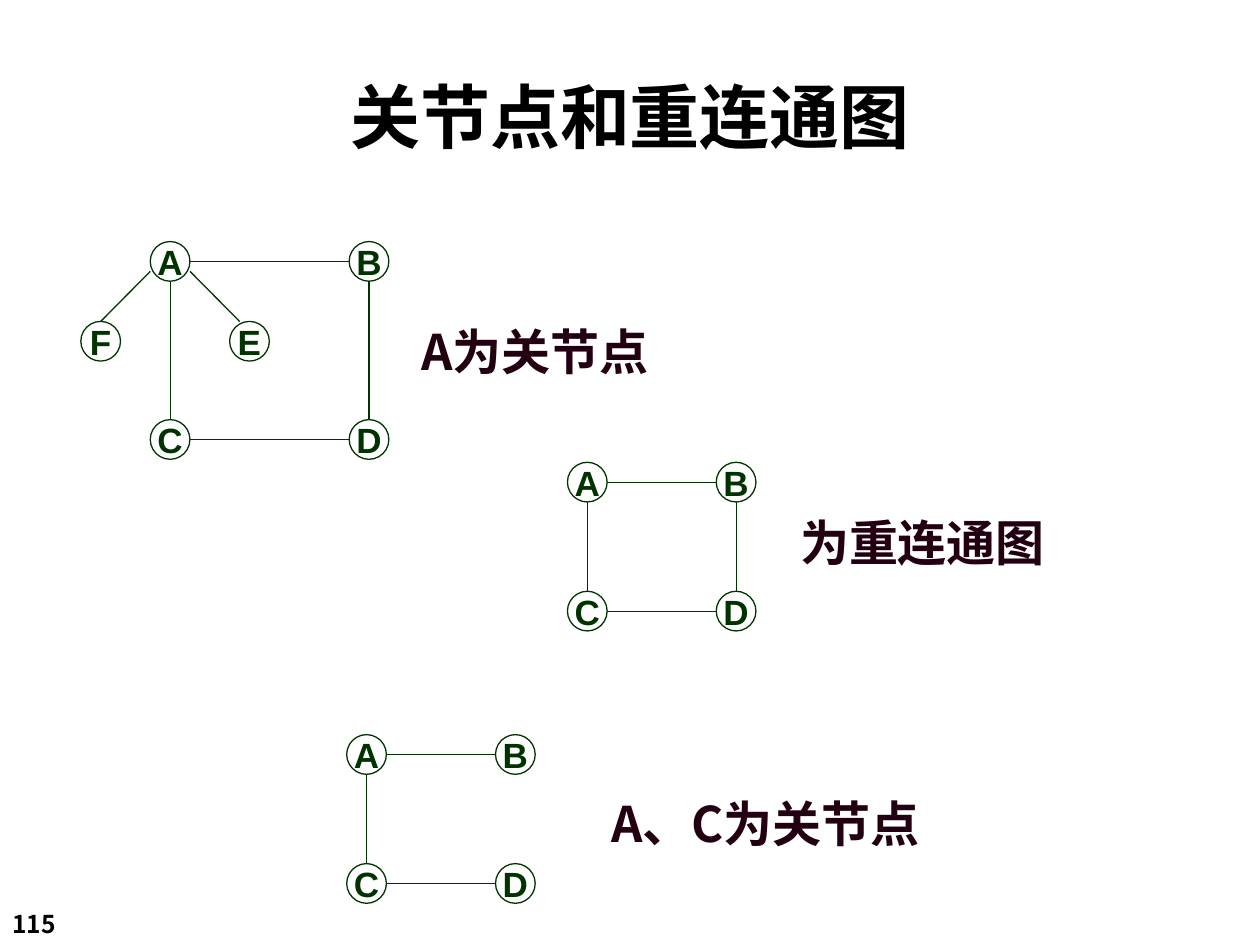
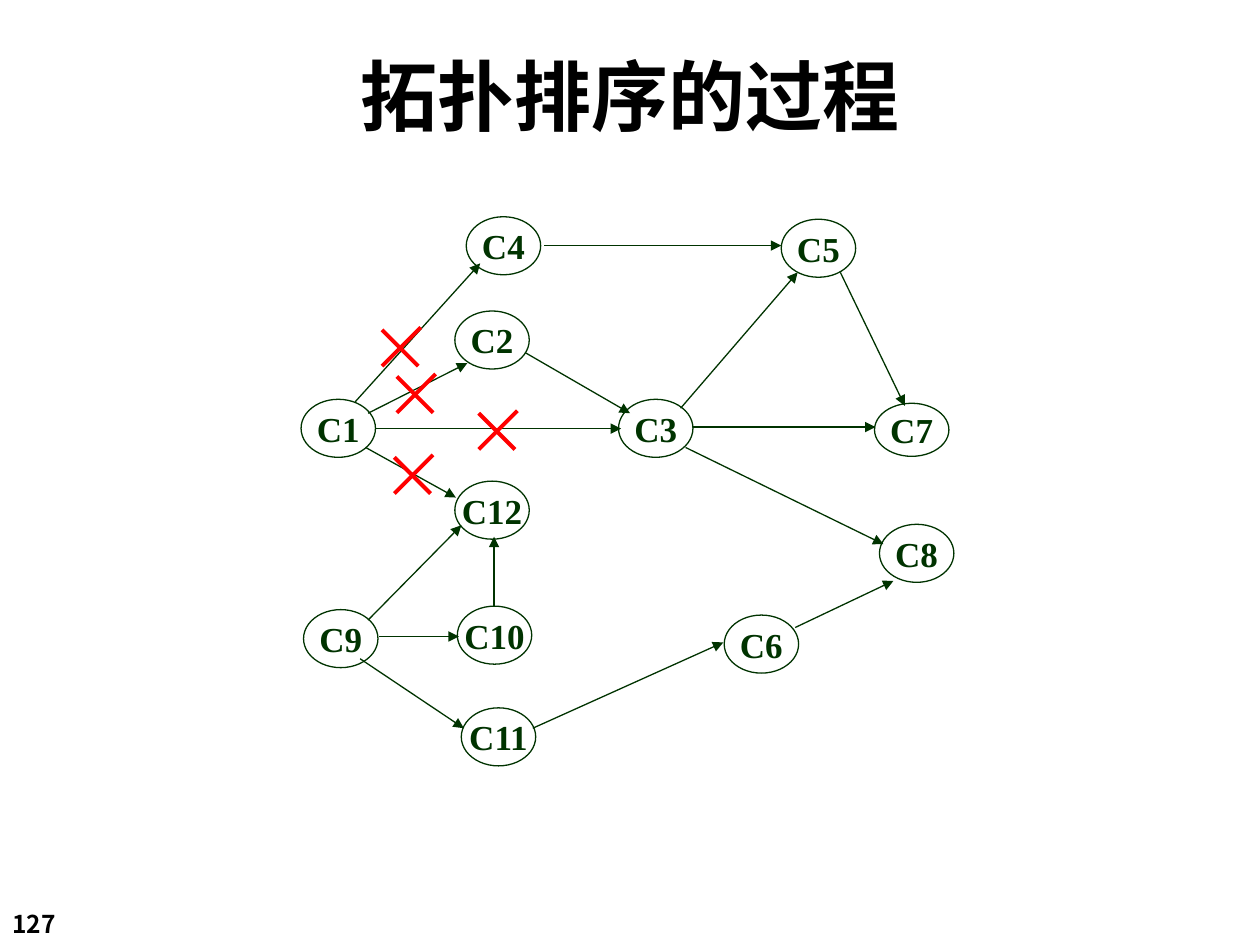
"""Builds two slides on graph theory: articulation points and topological sorting."""
import pptx
import pptx.util
import pptx.dml.color
import pptx.enum.shapes
import pptx.enum.text
import pptx.oxml.ns
from lxml import etree

Cm = pptx.util.Cm
Pt = pptx.util.Pt
RGBColor = pptx.dml.color.RGBColor
Align = pptx.enum.text.PP_ALIGN
Anchor = pptx.enum.text.MSO_ANCHOR
Shape = pptx.enum.shapes.MSO_SHAPE
qn = pptx.oxml.ns.qn

BLACK = RGBColor(0x00, 0x00, 0x00)
GREEN = RGBColor(0x00, 0x33, 0x00)
PLUM = RGBColor(0x22, 0x00, 0x11)
RED = RGBColor(0xFF, 0x00, 0x00)
CJK_FONT = "Noto Sans CJK SC"

NODE_SIZE = 0.8
RADIUS = NODE_SIZE / 2
COURSE_WIDTH, COURSE_HEIGHT = 1.5, 1.17
CROSS_SIZE = 0.73

COURSES = {
    "C1": (6.07, 8.05), "C2": (9.17, 6.27), "C3": (12.47, 8.05),
    "C4": (9.4, 4.37), "C5": (15.75, 4.42), "C6": (14.6, 12.4),
    "C7": (17.63, 8.13), "C8": (17.73, 10.57), "C9": (6.12, 12.29),
    "C10": (9.22, 12.22), "C11": (9.3, 14.27), "C12": (9.17, 9.7),
}
COURSE_HEIGHTS = {"C7": 1.07}
PREREQUISITES = [
    ((7.57, 8.64), (12.52, 8.64)), ((7.42, 8.33), (9.42, 7.32)),
    ((10.59, 7.11), (12.7, 8.33)), ((7.16, 8.1), (9.68, 5.31)),
    ((10.97, 4.95), (15.75, 4.95)), ((13.72, 8.23), (16.08, 5.49)),
    ((13.97, 8.61), (17.65, 8.61)), ((16.94, 5.49), (18.24, 8.18)),
    ((7.37, 9.02), (9.19, 10.03)), ((7.42, 12.5), (9.3, 10.59)),
    ((7.65, 12.83), (9.25, 12.83)), ((9.96, 12.22), (9.96, 10.82)),
    ((7.26, 13.28), (9.35, 14.68)), ((10.74, 14.68), (14.58, 12.95)),
    ((16.03, 12.65), (18.01, 11.71)), ((13.82, 9.02), (17.81, 10.97)),
]
REMOVED_EDGES = [(7.7, 6.65), (8, 7.59), (9.65, 8.33), (7.95, 9.22)]


def style_text(frame, size, color, font_name=CJK_FONT, align=Align.LEFT):
    """Formats every run of a text frame in bold."""
    for para in frame.paragraphs:
        para.alignment = align
        for span in para.runs:
            span.font.size = Pt(size)
            span.font.bold = True
            span.font.color.rgb = color
            span.font.name = font_name
            east_asian = etree.SubElement(span.font._element, qn("a:ea"))
            east_asian.set("typeface", CJK_FONT)


def add_label(page, text, left, top, width, height, size=28, color=PLUM):
    """Adds a wrapped text box."""
    box = page.shapes.add_textbox(Cm(left), Cm(top), Cm(width), Cm(height))
    box.text_frame.word_wrap = True
    box.text_frame.text = text
    style_text(box.text_frame, size, color)


def add_page(deck, title, number, size, anchor, line_spacing=1.0):
    """Adds a slide with its title and page number."""
    page = deck.slides.add_slide(deck.slide_layouts.get_by_name("Title Only"))
    box = page.shapes.title
    box.left, box.top, box.width, box.height = Cm(1.06), Cm(1.06), Cm(23.28), Cm(2.54)
    frame = box.text_frame
    frame.text = title
    frame.auto_size = pptx.enum.text.MSO_AUTO_SIZE.NONE
    frame.vertical_anchor = anchor
    frame.paragraphs[0].line_spacing = line_spacing
    style_text(frame, size, BLACK, align=Align.CENTER)
    add_label(page, number, 0, 18.2, 2.1, 0.86, 14, BLACK)
    return page


def add_node(shapes, kind, name, left, top, width, height, font_name):
    """Adds an outlined graph node with its name inside."""
    node = shapes.add_shape(kind, Cm(left), Cm(top), Cm(width), Cm(height))
    node.shadow.inherit = False
    node.fill.background()
    node.line.color.rgb = GREEN
    node.line.width = Pt(0.75)
    frame = node.text_frame
    frame.word_wrap = False
    frame.vertical_anchor = Anchor.MIDDLE
    frame.text = name
    style_text(frame, 20, GREEN, font_name, Align.CENTER)


def add_line(shapes, start, end, color=GREEN, width=0.75, arrow=False):
    """Adds a straight line, with an arrowhead at its end if asked."""
    line = shapes.add_connector(
        pptx.enum.shapes.MSO_CONNECTOR.STRAIGHT, *map(Cm, start + end))
    line.line.color.rgb = color
    line.line.width = Pt(width)
    if arrow:
        etree.SubElement(line.line._get_or_add_ln(), qn("a:tailEnd")).set("type", "triangle")
    etree.SubElement(line._element.spPr, qn("a:effectLst"))


def add_graph(page, left, top, width, height, edges, leaves=()):
    """Adds nodes A to D on a rectangle of centres, and leaves hanging from A."""
    shapes = page.shapes.add_group_shape().shapes
    right, bottom = left + width, top + height
    centres = {"A": (left, top), "B": (right, top), "C": (left, bottom), "D": (right, bottom)}
    centres.update({name: (left + shift, top + 1.61) for name, shift in leaves})
    for name, (x, y) in centres.items():
        add_node(shapes, Shape.FLOWCHART_CONNECTOR, name, x - RADIUS, y - RADIUS,
                 NODE_SIZE, NODE_SIZE, "Arial")
    for first, second in edges:
        (x1, y1), (x2, y2) = centres[first], centres[second]
        if y1 == y2:
            add_line(shapes, (x1 + RADIUS, y1), (x2 - RADIUS, y2))
        else:
            add_line(shapes, (x1, y1 + RADIUS), (x2, y2 - RADIUS))
    for name, shift in leaves:
        side = RADIUS if shift > 0 else -RADIUS
        x, y = centres[name]
        end_x = x - 0.2 if shift > 0 else x
        add_line(shapes, (left + side, top + 0.2), (end_x, y - RADIUS))


def add_cross(shapes, left, top):
    """Adds a red cross that strikes out an edge."""
    bottom = top + CROSS_SIZE
    add_line(shapes, (left, top), (left + CROSS_SIZE, bottom), RED, 2.25)
    add_line(shapes, (left + CROSS_SIZE + 0.05, top - 0.05), (left, bottom), RED, 2.25)


def build_articulation_page(deck):
    """Builds the slide on articulation points and biconnected graphs."""
    page = add_page(deck, "关节点和重连通图", "115", 40, Anchor.MIDDLE)
    square = ["AC", "AB", "BD", "CD"]
    add_graph(page, 3.43, 5.27, 4.01, 3.59, square, [("E", 1.6), ("F", -1.4)])
    add_graph(page, 11.84, 9.72, 3, 2.6, square)
    add_graph(page, 7.39, 15.21, 3, 2.6, ["AC", "AB", "CD"])
    add_label(page, "A为关节点", 8.25, 6.35, 6.35, 1.45)
    add_label(page, "为重连通图", 15.88, 10.21, 6.35, 1.45)
    add_label(page, "A、C为关节点", 12.07, 15.88, 7.01, 2.64)


def build_sorting_page(deck):
    """Builds the slide on the steps of topological sorting."""
    page = add_page(deck, "拓扑排序的过程", "127", 44, Anchor.TOP, 0.9)
    network = page.shapes.add_group_shape().shapes
    for name, (left, top) in COURSES.items():
        add_node(network, Shape.OVAL, name, left, top, COURSE_WIDTH,
                 COURSE_HEIGHTS.get(name, COURSE_HEIGHT), "Times New Roman")
    for start, end in PREREQUISITES:
        add_line(network, start, end, arrow=True)
    crosses = page.shapes.add_group_shape().shapes
    for left, top in REMOVED_EDGES:
        add_cross(crosses, left, top)


def main():
    """Builds and saves the deck."""
    deck = pptx.Presentation()
    deck.slide_width, deck.slide_height = Cm(25.4), Cm(19.05)
    build_articulation_page(deck)
    build_sorting_page(deck)
    deck.save("out.pptx")


if __name__ == "__main__":
    main()
